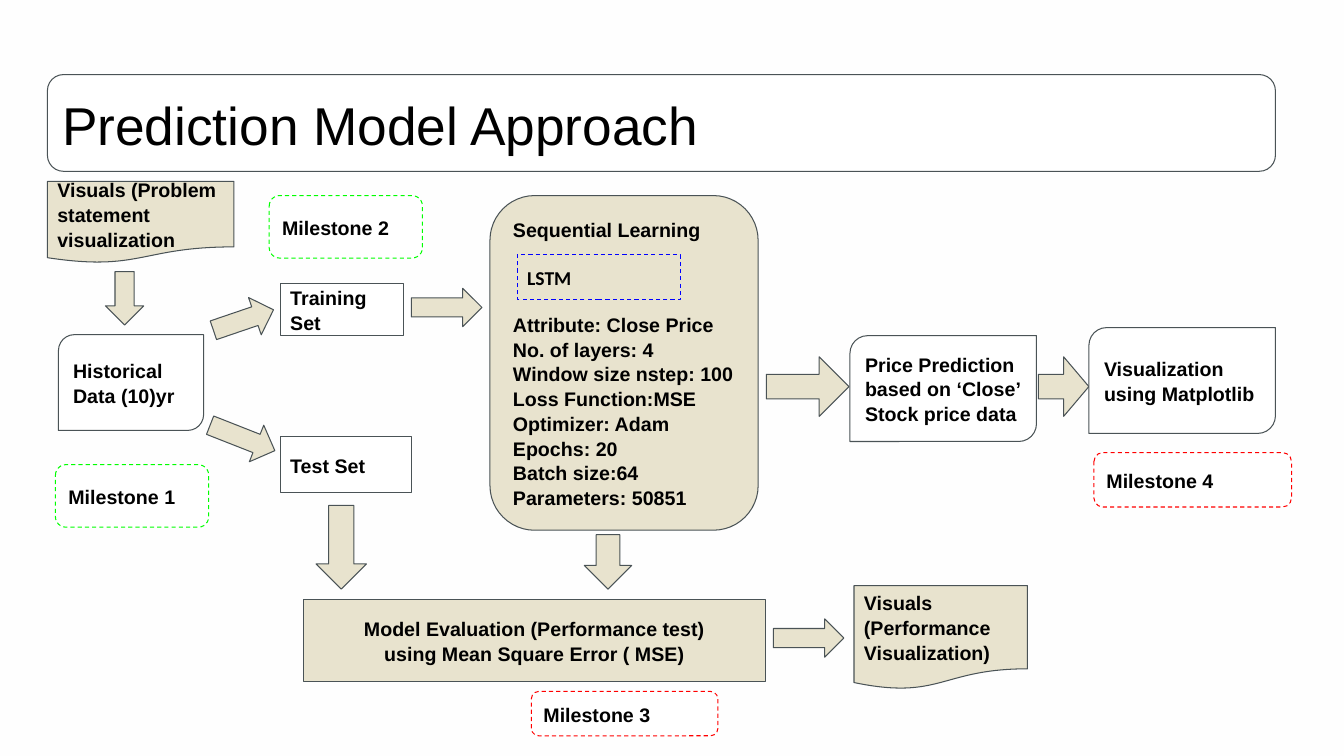
from pptx import Presentation
from pptx.dml.color import RGBColor
from pptx.enum.dml import MSO_LINE
from pptx.enum.shapes import MSO_SHAPE as Preset
from pptx.enum.text import MSO_ANCHOR as Anchor, PP_ALIGN as Align
from pptx.util import Inches, Pt

COLORS = {
    "page": "FEFEFE", "white": "FFFFFF", "sand": "E8E3CE", "outline": "4A5356",
    "text": "000000", "green": "00FF00", "red": "FF0000", "blue": "0000FF",
}
GRID = Inches(0.1)  # one column or row of the slide grid


def color(name):
    return RGBColor.from_string(COLORS[name])


def write(block, text, size=14, font="Arial", bold=True, align=Align.LEFT,
          anchor=Anchor.MIDDLE, heading_gap=0):
    """Write one paragraph per line, with an optional gap after the first."""
    frame = block.text_frame
    frame.word_wrap = True
    frame.vertical_anchor = anchor
    frame.margin_left = frame.margin_right = Inches(0.1)
    frame.margin_top = frame.margin_bottom = Inches(0.1)
    for index, line in enumerate(text.split("\n")):
        paragraph = frame.paragraphs[0] if index == 0 else frame.add_paragraph()
        paragraph.alignment = align
        paragraph.line_spacing = 1.05
        if index == 1:
            paragraph.space_before = Pt(heading_gap)
        run = paragraph.add_run()
        run.text = line
        run.font.size = Pt(size)
        run.font.name = font
        run.font.bold = bold
        run.font.color.rgb = color("text")


def draw(slide, box, preset, part, fill="white", line="outline", dashed=False,
         adjust=(), turn=0):
    """Draw a shape; part is (column, row, columns, rows) inside the box."""
    column, row, columns, rows = part
    shape = slide.shapes.add_shape(
        preset, round((box[0] + column) * GRID), round((box[1] + row) * GRID),
        round(columns * GRID), round(rows * GRID))
    shape.shadow.inherit = False
    if fill:
        shape.fill.solid()
        shape.fill.fore_color.rgb = color(fill)
    else:
        shape.fill.background()
    shape.line.color.rgb = color(line)
    shape.line.width = Pt(0.75)
    if dashed:
        shape.line.dash_style = MSO_LINE.DASH
    for index, value in enumerate(adjust):
        shape.adjustments[index] = value
    shape.rotation = turn
    return shape


def arrow(slide, box, part, turn=0, shaft=0.5):
    draw(slide, box, Preset.RIGHT_ARROW, part, fill="sand",
         adjust=(shaft, 0.5), turn=turn)


def document(slide, box, part, text):
    write(draw(slide, box, Preset.FLOWCHART_DOCUMENT, part, fill="sand"), text)


def data_card(slide, box, part, text):
    card = draw(slide, box, Preset.ROUND_2_DIAG_RECTANGLE, part, adjust=(0.167, 0))
    write(card, text)


def milestone(slide, box, part, number, line):
    badge = draw(slide, box, Preset.ROUNDED_RECTANGLE, part, line=line, dashed=True)
    write(badge, f"Milestone {number}")


def title_region(slide, box):
    banner = draw(slide, box, Preset.ROUNDED_RECTANGLE, (0, 0, *box[2:]))
    write(banner, "Prediction Model Approach", size=38, bold=False)


def data_region(slide, box):
    # Source data
    document(slide, box, (0, 0, 18.5, 8.1), "Visuals (Problem statement visualization")
    arrow(slide, box, (5, 9.7, 5.3, 3.8), turn=90)
    data_card(slide, box, (1.1, 15.2, 14.4, 9.5), "Historical Data (10)yr")
    # Split into training and test sets
    arrow(slide, box, (16.3, 11.8, 6.3, 3.9), turn=341.2)
    arrow(slide, box, (15.9, 23.5, 6.9, 3.9), turn=21.5)
    for part, text in (((23.1, 10.1, 12.2, 5.2), "Training Set"),
                       ((23.1, 25.3, 13, 5.6), "Test Set")):
        write(draw(slide, box, Preset.RECTANGLE, part), text)
    arrow(slide, box, (36.1, 10.6, 7, 3.8))
    arrow(slide, box, (25, 33.8, 8.3, 5), turn=90)
    # Milestones
    milestone(slide, box, (0.8, 28.1, 15.2, 6.2), 1, "green")
    milestone(slide, box, (22, 1.4, 15.2, 6.2), 2, "green")


def learning_region(slide, box):
    panel = draw(slide, box, Preset.ROUNDED_RECTANGLE, (0, 0, *box[2:]), fill="sand")
    write(panel, "Sequential Learning\nAttribute: Close Price\nNo. of layers: 4\n"
                 "Window size nstep: 100\nLoss Function:MSE\nOptimizer: Adam\n"
                 "Epochs: 20\nBatch size:64\nParameters: 50851", heading_gap=50.5)
    network = draw(slide, box, Preset.RECTANGLE, (2.7, 5.9, 16.2, 4.4),
                   fill=None, line="blue", dashed=True)
    write(network, "LSTM", font="Calibri", anchor=Anchor.TOP)
    arrow(slide, box, (9, 34, 5.4, 4.7), turn=90)


def evaluation_region(slide, box):
    evaluation = draw(slide, box, Preset.RECTANGLE, (0, 1.4, 45.8, 8.1), fill="sand")
    write(evaluation, "Model Evaluation (Performance test)\n"
                      "using Mean Square Error ( MSE)", align=Align.CENTER)
    arrow(slide, box, (46.6, 3.3, 7, 3.8))
    document(slide, box, (54.6, 0, 17.2, 10.3), "Visuals (Performance Visualization)")
    milestone(slide, box, (22.6, 10.5, 18.5, 4.4), 3, "red")


def output_region(slide, box):
    arrow(slide, box, (0, 2.9, 8.2, 5.9), shaft=0.413)
    data_card(slide, box, (8.3, 0.8, 18.5, 10.5),
              "Price Prediction based on ‘Close’ Stock price data")
    arrow(slide, box, (27, 2.9, 5, 5.9), shaft=0.413)
    data_card(slide, box, (32, 0, 18.5, 10.5), "Visualization using Matplotlib")
    milestone(slide, box, (32.5, 12.4, 19.6, 5.4), 4, "red")


def main():
    deck = Presentation()
    deck.slide_width, deck.slide_height = Inches(13.33), Inches(7.5)
    slide = deck.slides.add_slide(deck.slide_layouts[6])
    slide.background.fill.solid()
    slide.background.fill.fore_color.rgb = color("page")
    # Each region's box: column, row, columns, rows
    title_region(slide, (4.7, 7.4, 121.8, 9.6))
    data_region(slide, (4.7, 18, 43.1, 38.8))
    learning_region(slide, (48.6, 19.4, 26.6, 33.2))
    evaluation_region(slide, (30.1, 58.1, 71.8, 14.9))
    output_region(slide, (76, 32.5, 52.1, 17.8))
    deck.save("out.pptx")


if __name__ == "__main__":
    main()
